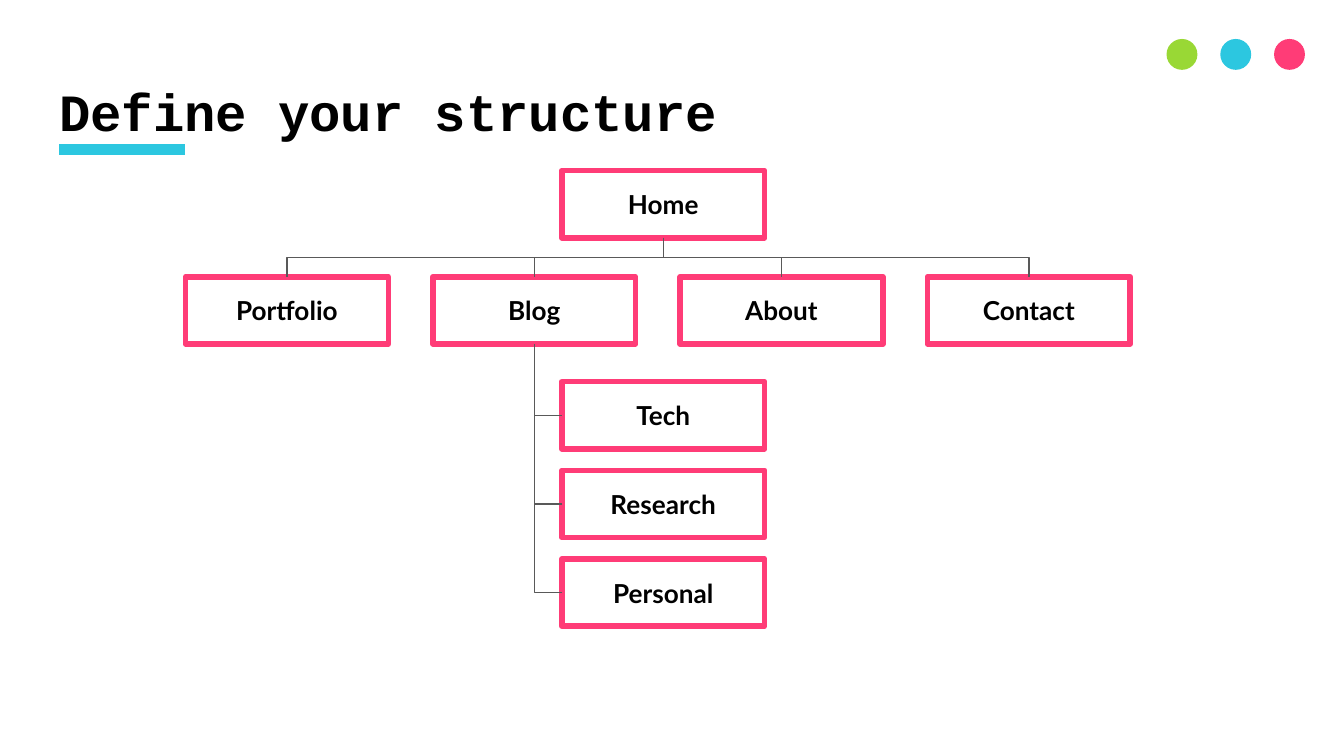
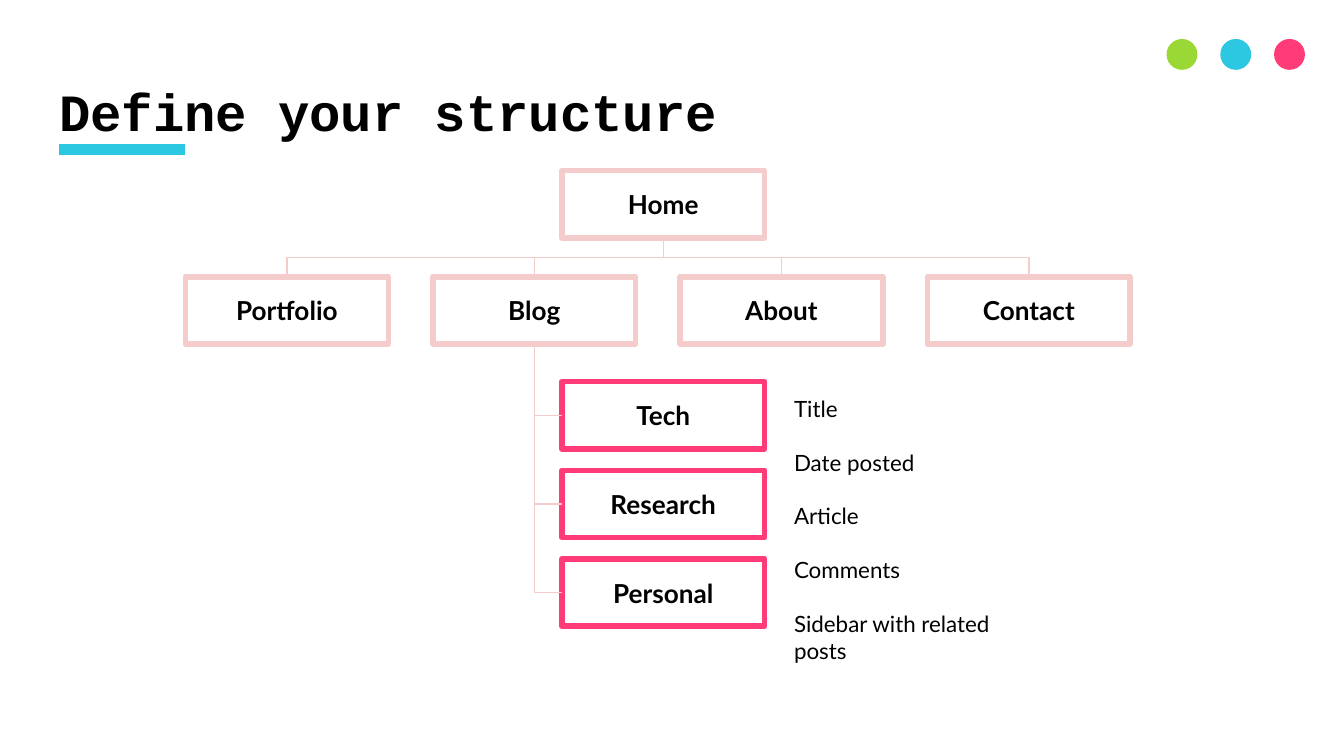
from lxml.etree import SubElement
from pptx import Presentation
from pptx.dml.color import RGBColor
from pptx.enum.shapes import MSO_CONNECTOR, MSO_SHAPE
from pptx.enum.text import MSO_ANCHOR, MSO_AUTO_SIZE, PP_ALIGN
from pptx.oxml.ns import qn
from pptx.util import Inches, Pt

BLACK = RGBColor(0x00, 0x00, 0x00)
WHITE = RGBColor(0xFF, 0xFF, 0xFF)
PINK = RGBColor(0xFF, 0x3C, 0x77)
BLUE = RGBColor(0x2C, 0xC7, 0xE0)
GREEN = RGBColor(0x99, 0xD8, 0x35)
GRAY = RGBColor(0x59, 0x59, 0x59)
PALE = RGBColor(0xF4, 0xCC, 0xCC)

TITLE_FONT = {"name": "Courier New", "size": Pt(28), "bold": True}
BOX_FONT = {"name": "Lato", "size": Pt(14), "bold": True}
LIST_FONT = {"name": "Lato", "size": Pt(12), "bold": False}

BOX_WIDTH, BOX_HEIGHT = 1.51, 0.5
HOME_LEFT, HOME_TOP = 4.18, 1.27
PAGES_LEFT, PAGES_TOP, PAGES_STEP = 1.38, 2.06, 1.84
TOPICS_TOP, TOPICS_STEP = 2.84, 0.66
SITE_PAGES = ["Portfolio", "Blog", "About", "Contact"]
TOPICS = ["Tech", "Research", "Personal"]
POST_PARTS = ["Title", "Date posted", "Article", "Comments", "Sidebar with related posts"]
TOP_SITE, LEFT_SITE, BOTTOM_SITE = 0, 1, 2


def format_font(font, values):
    for name, value in values.items():
        setattr(font, name, value)
    font.color.rgb = BLACK


def format_frame(frame, anchor):
    values = {
        "word_wrap": True,
        "auto_size": MSO_AUTO_SIZE.NONE,
        "vertical_anchor": anchor,
        "margin_left": Inches(0.1),
        "margin_top": Inches(0.1),
        "margin_right": Inches(0.1),
        "margin_bottom": Inches(0.1),
    }
    for name, value in values.items():
        setattr(frame, name, value)


def format_connector(connector, color, width):
    connector.line.color.rgb = color
    connector.line.width = Pt(width)
    SubElement(connector._element.spPr, qn("a:effectLst"))


def add_title(page, text):
    title = page.shapes.title
    title.left, title.top = Inches(0.34), Inches(0.49)
    title.width, title.height = Inches(9.32), Inches(0.63)
    format_frame(title.text_frame, MSO_ANCHOR.TOP)
    para = title.text_frame.paragraphs[0]
    para.alignment = PP_ALIGN.LEFT
    span = para.add_run()
    span.text = text
    format_font(span.font, TITLE_FONT)


def add_decoration(page):
    for index, color in enumerate([PINK, BLUE, GREEN]):
        dot = page.shapes.add_shape(
            MSO_SHAPE.OVAL, Inches(9.48 - 0.4 * index), Inches(0.29), Inches(0.23), Inches(0.23)
        )
        dot.shadow.inherit = False
        dot.fill.solid()
        dot.fill.fore_color.rgb = color
        dot.line.fill.background()
    underline = page.shapes.add_connector(
        MSO_CONNECTOR.STRAIGHT, Inches(0.44), Inches(1.11), Inches(1.38), Inches(1.11)
    )
    format_connector(underline, BLUE, 6)


def add_box(page, text, left, top, color):
    box = page.shapes.add_shape(
        MSO_SHAPE.RECTANGLE, Inches(left), Inches(top), Inches(BOX_WIDTH), Inches(BOX_HEIGHT)
    )
    box.shadow.inherit = False
    box.fill.solid()
    box.fill.fore_color.rgb = WHITE
    box.line.color.rgb = color
    box.line.width = Pt(3)
    SubElement(box.line._get_or_add_ln(), qn("a:round"))
    format_frame(box.text_frame, MSO_ANCHOR.MIDDLE)
    para = box.text_frame.paragraphs[0]
    para.alignment = PP_ALIGN.CENTER
    span = para.add_run()
    span.text = text
    format_font(span.font, BOX_FONT)
    return box


def add_elbow(page, parent, child, site, color):
    start_x, start_y = parent.left + parent.width // 2, parent.top + parent.height
    if site == TOP_SITE:
        end_x, end_y = child.left + child.width // 2, child.top
    else:
        end_x, end_y = child.left, child.top + child.height // 2
    elbow = page.shapes.add_connector(MSO_CONNECTOR.ELBOW, start_x, start_y, end_x, end_y)
    elbow.begin_connect(parent, BOTTOM_SITE)
    elbow.end_connect(child, site)

    drop, reach = end_y - start_y, abs(end_x - start_x)
    elbow.left = (start_x + end_x - drop) // 2
    elbow.top = (start_y + end_y - reach) // 2
    elbow.width, elbow.height = drop, reach
    properties = elbow._element.spPr
    goes_right = end_x > start_x
    frame = properties.find(qn("a:xfrm"))
    frame.set("rot", "16200000" if goes_right else "5400000")
    frame.set("flipH", "1" if goes_right else "0")
    if site == LEFT_SITE:
        properties.find(qn("a:prstGeom")).set("prst", "bentConnector2")
    format_connector(elbow, color, 0.75)


def add_site_map(page, page_color, topic_color, line_color):
    home = add_box(page, "Home", HOME_LEFT, HOME_TOP, page_color)
    site_boxes = [
        add_box(page, name, PAGES_LEFT + PAGES_STEP * index, PAGES_TOP, page_color)
        for index, name in enumerate(SITE_PAGES)
    ]
    topic_boxes = [
        add_box(page, name, HOME_LEFT, TOPICS_TOP + TOPICS_STEP * index, topic_color)
        for index, name in enumerate(TOPICS)
    ]
    for box in site_boxes:
        add_elbow(page, home, box, TOP_SITE, line_color)
    blog = site_boxes[SITE_PAGES.index("Blog")]
    for box in topic_boxes:
        add_elbow(page, blog, box, LEFT_SITE, line_color)


def add_list(page, items):
    box = page.shapes.add_textbox(Inches(5.81), Inches(2.84), Inches(1.84), Inches(1.43))
    frame = box.text_frame
    format_frame(frame, MSO_ANCHOR.TOP)
    for index, item in enumerate(items):
        para = frame.add_paragraph() if index else frame.paragraphs[0]
        para.space_before = Pt(14.4 if index else 0)
        span = para.add_run()
        span.text = item
        format_font(span.font, LIST_FONT)


def add_structure_page(deck, page_color, topic_color, line_color):
    page = deck.slides.add_slide(deck.slide_layouts[5])
    add_title(page, "Define your structure")
    add_decoration(page)
    add_site_map(page, page_color, topic_color, line_color)
    return page


def main():
    deck = Presentation()
    deck.slide_width = Inches(10)
    deck.slide_height = deck.slide_width * 9 // 16
    add_structure_page(deck, PINK, PINK, GRAY)
    detail_page = add_structure_page(deck, PALE, PINK, PALE)
    add_list(detail_page, POST_PARTS)
    deck.save("out.pptx")


if __name__ == "__main__":
    main()
